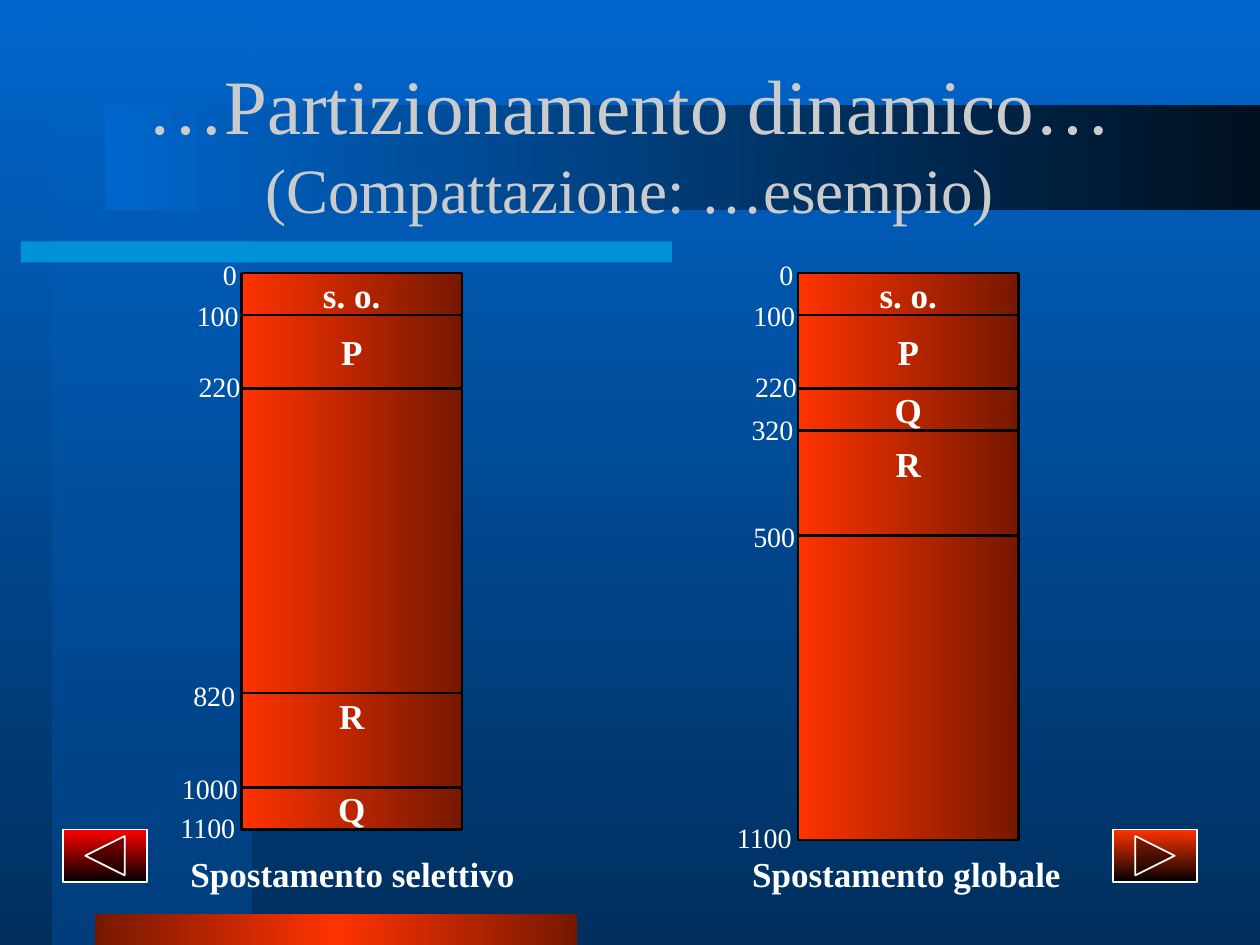
from copy import deepcopy

from lxml import etree
from pptx import Presentation
from pptx.dml.color import RGBColor
from pptx.enum.shapes import MSO_SHAPE
from pptx.enum.text import MSO_ANCHOR, MSO_AUTO_SIZE, PP_ALIGN
from pptx.oxml.ns import qn
from pptx.util import Pt

RECTANGLE = MSO_SHAPE.RECTANGLE
BACK_BUTTON = MSO_SHAPE.ACTION_BUTTON_BACK_OR_PREVIOUS
NEXT_BUTTON = MSO_SHAPE.ACTION_BUTTON_FORWARD_OR_NEXT
CENTER, RIGHT = PP_ALIGN.CENTER, PP_ALIGN.RIGHT
TOP, MIDDLE = MSO_ANCHOR.TOP, MSO_ANCHOR.MIDDLE

WHITE = RGBColor(0xFF, 0xFF, 0xFF)
BLACK = RGBColor(0x00, 0x00, 0x00)
SILVER = RGBColor(0xCB, 0xCB, 0xCB)
CYAN = RGBColor(0x00, 0xCC, 0xFF)
BLUE = RGBColor(0x00, 0x66, 0xCC)
MID_BLUE = RGBColor(0x00, 0x3F, 0x7E)
DEEP_BLUE = RGBColor(0x00, 0x2F, 0x5E)
NIGHT_BLUE = RGBColor(0x00, 0x10, 0x1F)
RED = RGBColor(0xFF, 0x00, 0x00)
ORANGE = RGBColor(0xFF, 0x33, 0x00)
BROWN = RGBColor(0x76, 0x18, 0x00)

ACROSS, DOWN = 0, 270
COLUMN_WIDTH = 126
LABEL_WIDTH, LABEL_HEIGHT = 48, 30


class MemorySlide:
    """Style and current slide, with one method per kind of element."""

    font_name = "Times New Roman"

    def __init__(self, presentation):
        self.slide = presentation.slides.add_slide(presentation.slide_layouts[5])

    def paint_gradient(self, fill, colors, angle):
        fill.gradient()
        fill.gradient_angle = angle
        for stop, color in zip(fill.gradient_stops, colors):
            stop.color.rgb = color

    def background(self, *colors):
        self.paint_gradient(self.slide.background.fill, colors, DOWN)

    def block(self, kind, left, top, width, height, colors, angle=ACROSS,
              line=None, line_width=1.5):
        shape = self.slide.shapes.add_shape(
            kind, Pt(left), Pt(top), Pt(width), Pt(height))
        shape.shadow.inherit = False
        if len(colors) == 1:
            shape.fill.solid()
            shape.fill.fore_color.rgb = colors[0]
        else:
            self.paint_gradient(shape.fill, colors, angle)
        if line is None:
            shape.line.fill.background()
        else:
            shape.line.color.rgb = line
            shape.line.width = Pt(line_width)
        return shape

    def half_transparent(self, shape):
        color = next(shape.element.spPr.iter(qn("a:srgbClr")))
        etree.SubElement(color, qn("a:alpha")).set("val", "50000")

    def mirror_gradient(self, shape):
        """Repeat the first colour at the end, with the second in the middle."""
        stops = next(shape.element.spPr.iter(qn("a:gsLst")))
        stops.append(deepcopy(stops[0]))
        for stop, position in zip(shape.fill.gradient_stops, (0, 0.5, 1)):
            stop.position = position

    def format_text(self, frame, size, color=WHITE, bold=False, align=CENTER):
        for paragraph in frame.paragraphs:
            paragraph.alignment = align
            for run in paragraph.runs:
                run.font.name = self.font_name
                run.font.size = Pt(size)
                run.font.bold = bold
                run.font.color.rgb = color

    def fill_text(self, shape, text, size, bold=False, align=CENTER):
        frame = shape.text_frame
        frame.margin_left = frame.margin_right = Pt(3.6)
        frame.margin_top = frame.margin_bottom = Pt(3.6)
        frame.word_wrap = False
        frame.vertical_anchor = MIDDLE
        frame.text = text
        self.format_text(frame, size, bold=bold, align=align)

    def text(self, text, left, top, width, height, size, bold=False, align=CENTER):
        box = self.slide.shapes.add_textbox(
            Pt(left), Pt(top), Pt(width), Pt(height))
        self.fill_text(box, text, size, bold, align)

    def title(self, lines, sizes, left, top, width, height):
        shape = self.slide.shapes.title
        shape.left, shape.top = Pt(left), Pt(top)
        shape.width, shape.height = Pt(width), Pt(height)
        frame = shape.text_frame
        frame.text = "\n".join(lines)
        frame.word_wrap = True
        frame.auto_size = MSO_AUTO_SIZE.NONE
        frame.vertical_anchor = MIDDLE
        self.format_text(frame, sizes[0], SILVER)
        for paragraph, size in zip(frame.paragraphs, sizes):
            paragraph.runs[0].font.size = Pt(size)
        # Bring the title in front of the decoration
        self.slide.shapes[-1].element.addnext(shape.element)

    def memory_column(self, left, partitions, labels):
        for name, top, height in partitions:
            shape = self.block(RECTANGLE, left, top, COLUMN_WIDTH, height,
                               (ORANGE, BROWN), line=BLACK)
            if name:
                self.fill_text(shape, name, 20, bold=True)
            if name == "R":
                shape.text_frame.vertical_anchor = TOP
                shape.text_frame.margin_top = Pt(7)
        for address, offset, top in labels:
            self.text(address, left - offset, top, LABEL_WIDTH, LABEL_HEIGHT,
                      16, align=RIGHT)


# Partitions: name, top, height, from back to front
SHARED_PARTITIONS = [("s. o.", 156, 24), ("P", 180, 42)]
SELECTIVE = [("R", 390, 60), ("", 222, 174), *SHARED_PARTITIONS, ("Q", 450, 24)]
GLOBAL = [("R", 246, 60), ("", 306, 174), *SHARED_PARTITIONS, ("Q", 222, 24)]

# Address labels: text, distance left of the column, top
SHARED_LABELS = [("0", 47, 142), ("100", 46, 165), ("220", 45, 206)]
SELECTIVE_LABELS = SHARED_LABELS + [
    ("820", 48, 382.3), ("1000", 46.5, 435.6), ("1100", 48, 458)]
GLOBAL_LABELS = SHARED_LABELS + [
    ("320", 47, 230.4), ("500", 46, 291.6), ("1100", 48, 463.7)]


def main():
    presentation = Presentation()
    presentation.slide_width, presentation.slide_height = Pt(720), Pt(540)
    memory = MemorySlide(presentation)

    # Background and decoration
    memory.background(BLUE, DEEP_BLUE)
    band = memory.block(RECTANGLE, 30, 0, 114, 540, (BLUE, MID_BLUE), DOWN)
    memory.half_transparent(band)
    rule = memory.block(RECTANGLE, 12, 138, 372, 12, (CYAN,))
    memory.half_transparent(rule)
    footer = memory.block(RECTANGLE, 54, 522, 276, 18, (BROWN, ORANGE))
    memory.mirror_gradient(footer)
    memory.block(RECTANGLE, 60, 60, 660, 60, (BLUE, NIGHT_BLUE))

    # Navigation buttons
    for kind, left, color in ((BACK_BUTTON, 36, RED), (NEXT_BUTTON, 636, ORANGE)):
        memory.block(kind, left, 474, 48, 30, (color, BLACK), DOWN, WHITE, 1)

    # Title
    memory.title(("…Partizionamento dinamico…", "(Compattazione: …esempio)"),
                 (44, 36), 54, 36, 612, 90)

    # Memory maps with captions
    memory.memory_column(138, SELECTIVE, SELECTIVE_LABELS)
    memory.text("Spostamento selettivo", 101, 493, 201, 12, 20, bold=True)
    memory.memory_column(456, GLOBAL, GLOBAL_LABELS)
    memory.text("Spostamento globale", 417.5, 493, 201, 12, 20, bold=True)

    presentation.save("out.pptx")


if __name__ == "__main__":
    main()
